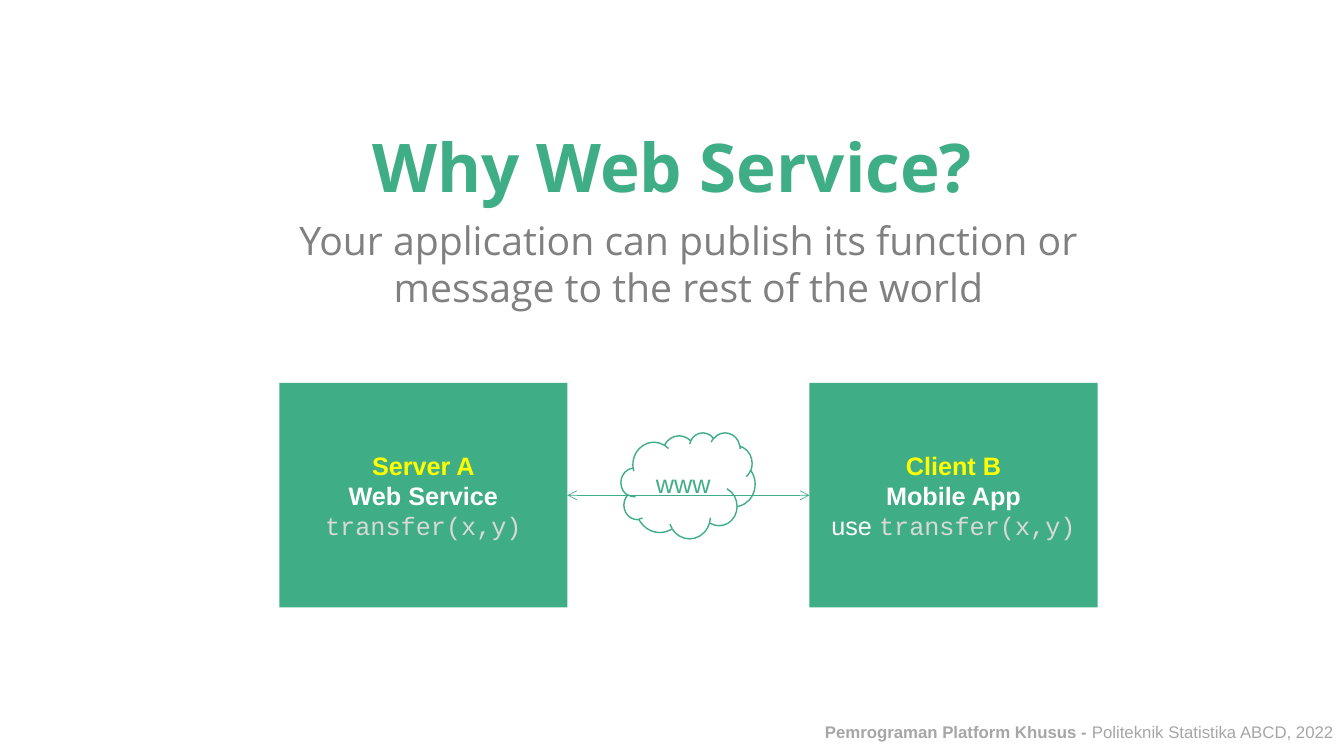
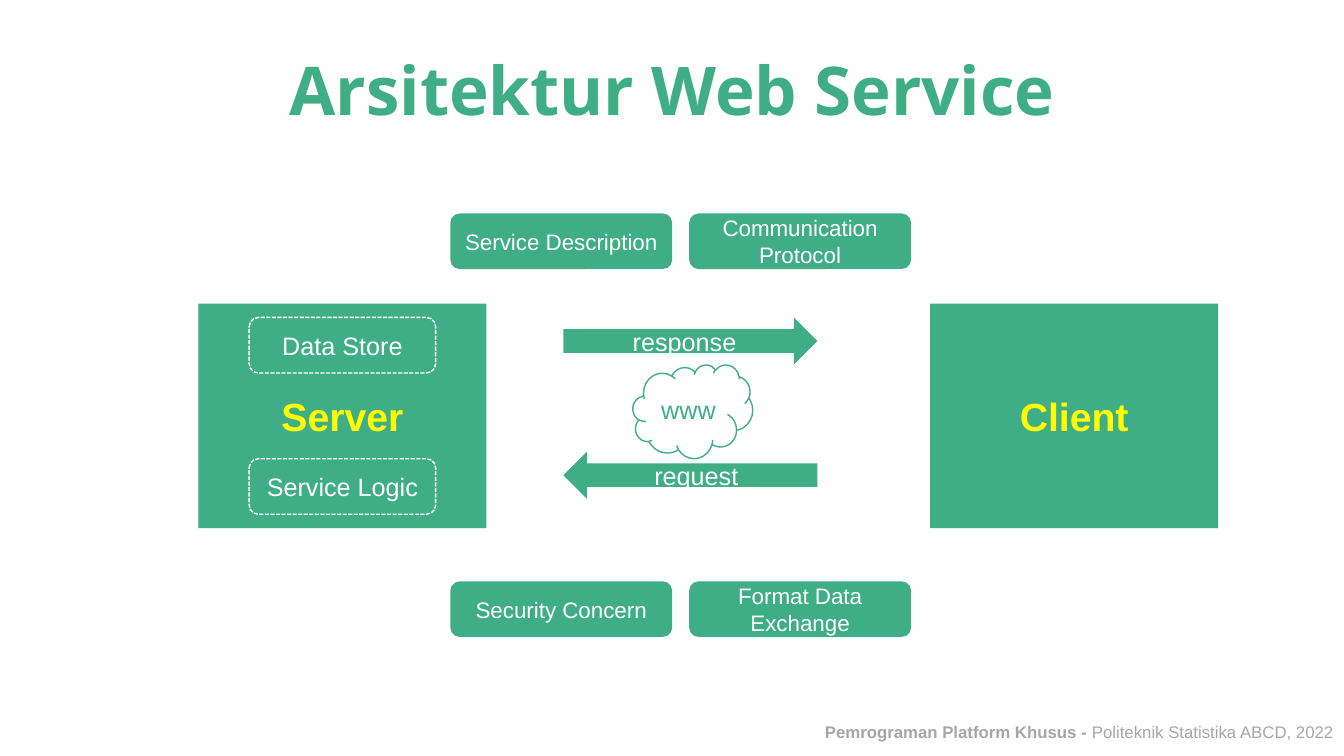
from dataclasses import dataclass

from pptx import Presentation
from pptx.dml.color import RGBColor
from pptx.enum import dml, shapes, text
from pptx.oxml import ns
from pptx.util import Cm, Pt
from lxml import etree

GREEN = "3FAD86"
YELLOW = "FFFF00"
WHITE = "FFFFFF"
PALE_GREY = "D9D9D9"
FOOTER_GREY = "A6A6A6"
SUBTITLE_GREY = "808080"
BODY_FONT = "Arial"
TITLE_FONT = "Open Sans"
CODE_FONT = "Courier New"
SHAPE = shapes.MSO_SHAPE
CENTER = text.PP_ALIGN.CENTER


@dataclass
class Box:
    left: float
    top: float
    width: float
    height: float

    def inner(self, left, top, width, height):
        return Box(self.left + left, self.top + top, width, height)

    def lengths(self):
        return [Cm(value) for value in (self.left, self.top, self.width, self.height)]


@dataclass
class Style:
    size: float
    color: str = WHITE
    bold: bool = False
    font: str = BODY_FONT


NODE_WIDTH, NODE_HEIGHT = 7.26, 5.66
TITLE_STYLE = Style(48, GREEN, True, TITLE_FONT)
SUBTITLE_STYLE = Style(28, SUBTITLE_GREY, font=TITLE_FONT)
HEADING = Style(18, YELLOW, True)
STRONG = Style(18, bold=True)
LABEL = Style(18)
CODE = Style(18, PALE_GREY, font=CODE_FONT)
CLOUD_LABEL = Style(18, GREEN)
NODE_NAME = Style(28, YELLOW, True)
CONCERN = Style(16)


def rgb(value):
    return RGBColor.from_string(value)


def write(text_frame, lines, alignment=CENTER):
    text_frame.word_wrap = True
    text_frame.text = "\n".join("" for _ in lines)
    for paragraph, line in zip(text_frame.paragraphs, lines):
        paragraph.alignment = alignment
        for content, style in line:
            run = paragraph.add_run()
            run.text = content
            run.font.name = style.font
            run.font.size = Pt(style.size)
            run.font.bold = style.bold
            run.font.color.rgb = rgb(style.color)


def add_block(slide, kind, box, lines, fill=GREEN, line=None, dash=None):
    shape = slide.shapes.add_shape(kind, *box.lengths())
    shape.shadow.inherit = False
    if fill:
        shape.fill.solid()
        shape.fill.fore_color.rgb = rgb(fill)
    else:
        shape.fill.background()
    if line:
        shape.line.color.rgb = rgb(line)
        shape.line.width = Pt(1)
        shape.line.dash_style = dash
    else:
        shape.line.fill.background()
    shape.text_frame.vertical_anchor = text.MSO_ANCHOR.MIDDLE
    write(shape.text_frame, lines)
    return shape


def add_text(slide, box, line, alignment=CENTER):
    shape = slide.shapes.add_textbox(*box.lengths())
    write(shape.text_frame, [line], alignment)


def add_cloud(slide, box):
    add_block(slide, SHAPE.CLOUD, box, [[("www", CLOUD_LABEL)]], fill=None, line=GREEN)


def add_two_way_link(slide, start, end):
    connector = slide.shapes.add_connector(shapes.MSO_CONNECTOR.STRAIGHT, 0, 0, 0, 0)
    connector.begin_connect(start, 3)
    connector.end_connect(end, 1)
    connector.line.color.rgb = rgb(GREEN)
    connector.line.width = Pt(0.5)
    line = connector.line._get_or_add_ln()
    for end_name in ("a:headEnd", "a:tailEnd"):
        etree.SubElement(line, ns.qn(end_name), type="arrow")
    etree.SubElement(connector._element.spPr, ns.qn("a:effectLst"))


def add_titled_slide(presentation, title, title_top):
    slide = presentation.slides.add_slide(presentation.slide_layouts[5])
    placeholder = slide.shapes.title
    placeholder.left, placeholder.top, placeholder.width, placeholder.height = Box(
        4.7, title_top, 24.49, 2.31
    ).lengths()
    placeholder.text_frame.vertical_anchor = text.MSO_ANCHOR.TOP
    placeholder.text_frame.auto_size = text.MSO_AUTO_SIZE.NONE
    write(placeholder.text_frame, [[(title, TITLE_STYLE)]])
    add_text(
        slide,
        Box(19.33, 18.06, 14.53, 0.76),
        [
            ("Pemrograman Platform Khusus - ", Style(12, FOOTER_GREY, True)),
            ("Politeknik Statistika ABCD, 2022", Style(12, FOOTER_GREY)),
        ],
        text.PP_ALIGN.RIGHT,
    )
    return slide


def add_node_pair(slide, box, left_lines, right_lines):
    offsets = (0, box.width - NODE_WIDTH)
    return [
        add_block(slide, SHAPE.RECTANGLE, box.inner(offset, 0, NODE_WIDTH, box.height), lines)
        for offset, lines in zip(offsets, (left_lines, right_lines))
    ]


def add_server_parts(slide, box):
    width, height, margin = 4.7, 1.4, 0.35
    tops = (margin, box.height - margin - height)
    for top, name in zip(tops, ("Data Store", "Service Logic")):
        part = box.inner((box.width - width) / 2, top, width, height)
        add_block(
            slide, SHAPE.ROUNDED_RECTANGLE, part, [[(name, LABEL)]],
            line=WHITE, dash=dml.MSO_LINE.SQUARE_DOT,
        )


def add_exchange(slide, box):
    add_cloud(slide, box.inner(1.75, 1.19, 3.02, 2.36))
    height = 1.19
    arrows = (
        (SHAPE.RIGHT_ARROW, 0, "response"),
        (SHAPE.LEFT_ARROW, box.height - height, "request"),
    )
    for kind, top, name in arrows:
        add_block(slide, kind, box.inner(0, top, box.width, height), [[(name, LABEL)]])


def add_concerns(slide, box, names):
    width = 5.59
    for index, name in enumerate(names):
        pill = box.inner(index * (box.width - width), 0, width, box.height)
        add_block(slide, SHAPE.ROUNDED_RECTANGLE, pill, [[(name, CONCERN)]])


def build_reason_slide(presentation):
    slide = add_titled_slide(presentation, "Why Web Service?", 3.02)
    area = Box(7.04, 9.65, 20.62, NODE_HEIGHT)
    add_text(
        slide,
        area.inner(0, -4.32, area.width, 2.64),
        [(
            "Your application can publish its function or message to the rest of the world",
            SUBTITLE_STYLE,
        )],
    )
    server, client = add_node_pair(
        slide,
        area,
        [[("Server A", HEADING)], [("Web Service", STRONG)], [("transfer(x,y)", CODE)]],
        [
            [("Client B", HEADING)],
            [("Mobile App", STRONG)],
            [("use ", LABEL), ("transfer(x,y)", CODE)],
        ],
    )
    add_two_way_link(slide, server, client)
    add_cloud(slide, area.inner(8.61, 1.25, 3.38, 2.67))


def build_architecture_slide(presentation):
    slide = add_titled_slide(presentation, "Arsitektur Web Service", 1.09)
    area = Box(5, 7.65, 25.7, NODE_HEIGHT)
    add_node_pair(slide, area, [[("Server", NODE_NAME)]], [[("Client", NODE_NAME)]])
    add_server_parts(slide, area.inner(0, 0, NODE_WIDTH, NODE_HEIGHT))
    add_exchange(slide, area.inner(9.2, 0.35, 6.4, 4.57))
    concern_rows = (
        (-2.27, ("Service Description", "Communication Protocol")),
        (7, ("Security Concern", "Format Data Exchange")),
    )
    for top, names in concern_rows:
        add_concerns(slide, area.inner(6.35, top, 11.61, 1.4), names)


def main():
    presentation = Presentation()
    presentation.slide_width = Cm(33.87)
    presentation.slide_height = Cm(19.05)
    build_reason_slide(presentation)
    build_architecture_slide(presentation)
    presentation.save("out.pptx")


if __name__ == "__main__":
    main()
